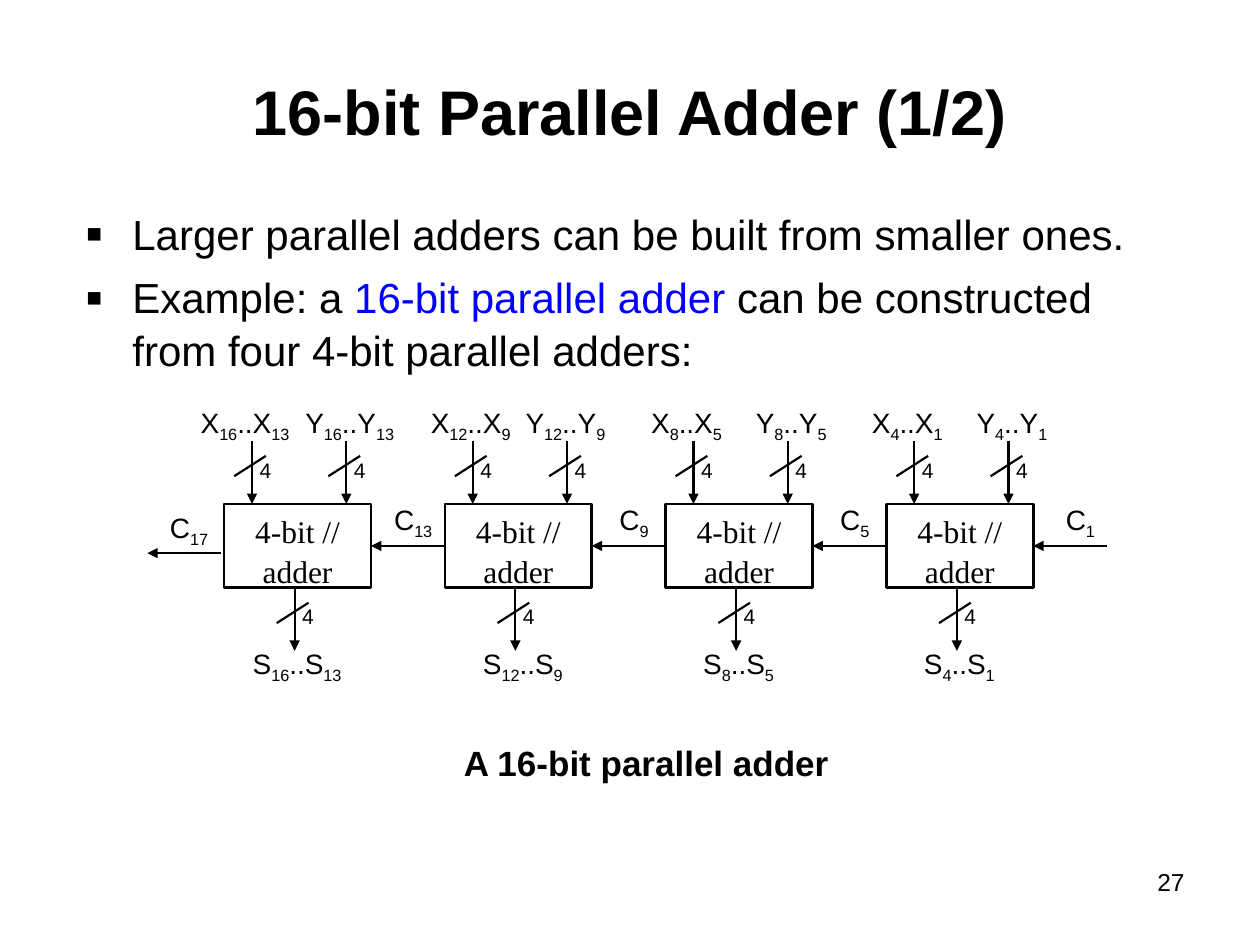
from lxml import etree
from pptx import Presentation
from pptx.dml.color import RGBColor
from pptx.enum.shapes import MSO_CONNECTOR, MSO_SHAPE
from pptx.enum.text import MSO_ANCHOR, PP_ALIGN
from pptx.oxml.ns import qn
from pptx.util import Cm, Pt

STRAIGHT = MSO_CONNECTOR.STRAIGHT
RECTANGLE = MSO_SHAPE.RECTANGLE
TOP, MIDDLE = MSO_ANCHOR.TOP, MSO_ANCHOR.MIDDLE
LEFT, CENTER, RIGHT = PP_ALIGN.LEFT, PP_ALIGN.CENTER, PP_ALIGN.RIGHT
BLACK, BLUE = "000000", "0000FF"
LEFT_SIDE, RIGHT_SIDE = 1, 3

# Adder grid, in centimetres
ADDER_LEFT, ADDER_TOP, ADDER_PITCH = 4.52, 10.16, 4.45
ADDER_WIDTH, ADDER_HEIGHT = 2.96, 1.69
BUS_LENGTH = 1.27
CARRY_Y = ADDER_TOP + ADDER_HEIGHT / 2
# Highest bit, lowest bit, inward shift of the labels
ADDERS = [(16, 13, 0), (12, 9, 0.1), (8, 5, 0), (4, 1, 0)]


def color(value):
    return RGBColor.from_string(value)


def add_span(para, text, size, shade=BLACK, bold=False, font="Arial", subscript=False):
    span = para.add_run()
    span.text = text
    span.font.name = font
    span.font.size = Pt(size)
    span.font.bold = bold
    span.font.color.rgb = color(shade)
    if subscript:
        span._r.get_or_add_rPr().set("baseline", "-25000")


def add_box(page, left, top, width, height, align=LEFT):
    """Add a wrapping text box and return its first paragraph."""
    box = page.shapes.add_textbox(Cm(left), Cm(top), Cm(width), Cm(height))
    box.text_frame.word_wrap = True
    para = box.text_frame.paragraphs[0]
    para.alignment = align
    return para


def add_label(page, center, top, width, parts):
    """Add a centred label in which every second part is a subscript."""
    para = add_box(page, center - width / 2, top, width, 1.04, CENTER)
    for index, part in enumerate(parts):
        add_span(para, str(part), 16, subscript=index % 2 == 1)


def add_line(page, x1, y1, x2, y2, arrow=False):
    line = page.shapes.add_connector(STRAIGHT, Cm(x1), Cm(y1), Cm(x2), Cm(y2))
    line.line.width = Pt(1.25)
    line.line.color.rgb = color(BLACK)
    if arrow:
        etree.SubElement(line.line._get_or_add_ln(), qn("a:tailEnd"), type="triangle")
    etree.SubElement(line._element.spPr, qn("a:effectLst"))
    return line


def add_bus(page, x, top):
    """Add a downward arrow with a slash and its width of 4 bits."""
    add_line(page, x, top, x, top + BUS_LENGTH, arrow=True)
    add_line(page, x + 0.28, top + 0.3, x - 0.36, top + 0.71)
    para = add_box(page, x - 0.15, top + 0.2, 0.84, 0.76, CENTER)
    add_span(para, "4", 12)


def add_adder(page, left, high, low, shift):
    adder = page.shapes.add_shape(
        RECTANGLE, Cm(left), Cm(ADDER_TOP), Cm(ADDER_WIDTH), Cm(ADDER_HEIGHT))
    adder.shadow.inherit = False
    adder.fill.background()
    adder.line.color.rgb = color(BLACK)
    adder.line.width = Pt(1.5)
    adder.text_frame.vertical_anchor = TOP
    adder.text_frame.word_wrap = True
    para = adder.text_frame.paragraphs[0]
    para.alignment = CENTER
    para.line_spacing = 1.05
    add_span(para, "4-bit // adder", 18, font="Times New Roman")

    for x in (0.56, 2.46):
        add_bus(page, left + x, ADDER_TOP - BUS_LENGTH)
    add_bus(page, left + 1.42, ADDER_TOP + ADDER_HEIGHT)
    labels = [("X", 0.42 + shift, 8.05), ("Y", 2.53 - shift, 8.05), ("S", 1.47 + shift, 12.9)]
    for name, center, top in labels:
        add_label(page, left + center, top, 2.54, [name, high, f"..{name}", low])
    return adder


def add_carries(page, adders):
    """Link each adder to its left neighbour and add the outer carries."""
    for index, adder in enumerate(adders):
        right = ADDER_LEFT + index * ADDER_PITCH + ADDER_WIDTH
        is_last = index == len(adders) - 1
        start = right + ADDER_PITCH - ADDER_WIDTH
        carry = add_line(page, start, CARRY_Y, right, CARRY_Y, arrow=True)
        if not is_last:
            carry.begin_connect(adders[index + 1], LEFT_SIDE)
        carry.end_connect(adder, RIGHT_SIDE)
        center = right + (0.95 if is_last else 0.85)
        add_label(page, center, 10.01, 1.47, ["C", ADDERS[index][1]])
    add_line(page, 4.45, 11.15, 2.97, 11.15, arrow=True)
    add_label(page, 3.81, 10.16, 1.47, ["C", 17])


def set_bullet(para):
    properties = para._p.get_or_add_pPr()
    properties.set("marL", str(Cm(0.95)))
    properties.set("indent", str(-Cm(0.95)))
    etree.SubElement(properties, qn("a:buSzPct"), val="120000")
    etree.SubElement(properties, qn("a:buFont"), typeface="Arial")
    etree.SubElement(properties, qn("a:buChar"), char="▪")


def add_title(page, text):
    title = page.shapes.title
    title.left, title.top, title.width, title.height = Cm(1.9), Cm(0.64), Cm(21.59), Cm(3.18)
    title.text_frame.vertical_anchor = MIDDLE
    para = title.text_frame.paragraphs[0]
    para.alignment = CENTER
    add_span(para, text, 36, bold=True)


def add_bullets(page):
    first = add_box(page, 1.47, 4.02, 21.59, 3.6)
    second = first._parent.add_paragraph()
    second.space_before = Pt(6)
    for para in (first, second):
        para.line_spacing = 1.05
        set_bullet(para)
    add_span(first, "Larger parallel adders can be built from smaller ones.", 24)
    add_span(second, "Example: a ", 24)
    add_span(second, "16-bit parallel adder", 24, BLUE)
    add_span(second, " can be constructed from four 4-bit parallel adders:", 24)


def main():
    deck = Presentation()
    deck.slide_width, deck.slide_height = Cm(25.4), Cm(19.05)
    page = deck.slides.add_slide(deck.slide_layouts[5])
    add_title(page, "16-bit Parallel Adder (1/2)")
    add_bullets(page)
    adders = [add_adder(page, ADDER_LEFT + index * ADDER_PITCH, *adder)
              for index, adder in enumerate(ADDERS)]
    add_carries(page, adders)
    add_span(add_box(page, 9.1, 14.82, 8.04, 1.12), "A 16-bit parallel adder", 20, bold=True)
    add_span(add_box(page, 18.2, 17.36, 5.93, 1.31, RIGHT), "27", 14)
    deck.save("out.pptx")


if __name__ == "__main__":
    main()
